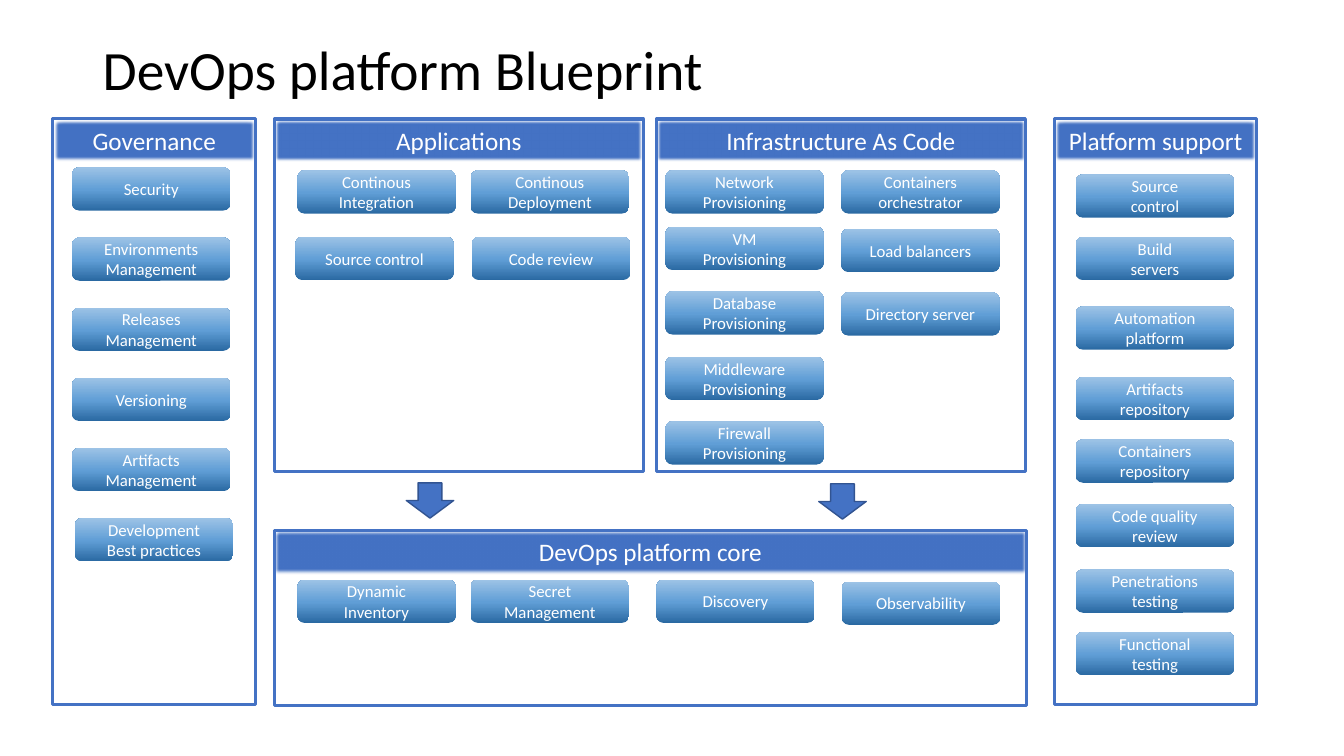
import copy
from dataclasses import dataclass

import lxml.etree
import pptx
import pptx.dml.color
import pptx.enum.shapes
import pptx.enum.text
import pptx.oxml.ns
import pptx.util

SLIDE_WIDTH = pptx.util.Inches(13.33)
SLIDE_HEIGHT = pptx.util.Inches(7.5)
COLUMN = SLIDE_WIDTH / 100
ROW = SLIDE_HEIGHT / 100

FONT = "Calibri"
BLUE, DARK_BLUE, WHITE, BLACK = "4472C4", "325491", "FFFFFF", "000000"
TILE_GRADIENT = ((0, "2A69A2"), (0.48, "609ED6"), (1, "9DC3E6"))
TILE_WIDTH, BAND_HEIGHT = 11.78, 5.73
TOP, CORE_TOP = 15.73, 70.13
GOVERNANCE_TOP, GOVERNANCE_PITCH = 22.13, 9.28

PRESET = pptx.enum.shapes.MSO_SHAPE
ALIGN = pptx.enum.text.PP_ALIGN
FRAME_FORMAT = {"word_wrap": True, "vertical_anchor": pptx.enum.text.MSO_ANCHOR.MIDDLE}


@dataclass
class Box:
    column: float
    row: float
    columns: float
    rows: float

    def emu(self) -> tuple:
        return (round(self.column * COLUMN), round(self.row * ROW),
                round(self.columns * COLUMN), round(self.rows * ROW))


@dataclass
class Panel:
    heading: str
    area: Box


@dataclass
class Tile:
    label: str
    column: float
    row: float


def rgb(value: str) -> pptx.dml.color.RGBColor:
    return pptx.dml.color.RGBColor.from_string(value)


def apply(target, values: dict) -> None:
    for name, value in values.items():
        setattr(target, name, value)


def write(shape, text: str, size: float, color: str = WHITE, **paragraph_format) -> None:
    apply(shape.text_frame, FRAME_FORMAT)
    shape.text_frame.text = text
    for paragraph in shape.text_frame.paragraphs:
        apply(paragraph, {"alignment": ALIGN.CENTER, **paragraph_format})
        for run in paragraph.runs:
            apply(run.font, {"name": FONT, "size": pptx.util.Pt(size)})
            run.font.color.rgb = rgb(color)


def add_block(shapes, preset, box: Box, fill: str = "", line: str = "", weight: float = 1):
    block = shapes.add_shape(preset, *box.emu())
    block.shadow.inherit = False
    if fill:
        block.fill.solid()
        block.fill.fore_color.rgb = rgb(fill)
    else:
        block.fill.background()
    if line:
        block.line.color.rgb = rgb(line)
        block.line.width = pptx.util.Pt(weight)
    else:
        block.line.fill.background()
    return block


def soften(block, radius: float) -> None:
    effects = block._element.spPr.find(pptx.oxml.ns.qn("a:effectLst"))
    edge = lxml.etree.SubElement(effects, pptx.oxml.ns.qn("a:softEdge"))
    edge.set("rad", str(pptx.util.Pt(radius)))


def shade(block) -> None:
    block.fill.gradient()
    block.fill.gradient_angle = 90
    last_stop = block.fill._fill._gradFill.gsLst[-1]
    last_stop.addnext(copy.deepcopy(last_stop))
    for stop, (position, color) in zip(block.fill.gradient_stops, TILE_GRADIENT):
        stop.position = position
        stop.color.rgb = rgb(color)


def draw_panel(shapes, panel: Panel) -> None:
    area = panel.area
    band = Box(area.column, area.row, area.columns, BAND_HEIGHT)
    header = add_block(shapes, PRESET.RECTANGLE, band, BLUE, DARK_BLUE)
    soften(header, 2.5)
    write(header, panel.heading, 18)
    add_block(shapes, PRESET.RECTANGLE, area, line=BLUE, weight=2.25)


def draw_tile(shapes, tile: Tile) -> None:
    box = Box(tile.column, tile.row, TILE_WIDTH, BAND_HEIGHT)
    block = add_block(shapes, PRESET.ROUNDED_RECTANGLE, box)
    shade(block)
    write(block, tile.label, 12)


def stack(column: float, entries: tuple) -> list:
    return [Tile(label, column, row) for row, label in entries]


PANELS = (
    Panel("Governance", Box(3.94, TOP, 15.08, 77.47)),
    Panel("Applications", Box(20.41, TOP, 27.46, 46.67)),
    Panel("Infrastructure As Code", Box(48.84, TOP, 27.46, 46.67)),
    Panel("Platform support", Box(78.44, TOP, 15.08, 77.47)),
    Panel("DevOps platform core", Box(20.41, CORE_TOP, 55.96, 23.2)),
)
PRACTICES = (
    "Security", "Environments Management", "Releases Management",
    "Versioning", "Artifacts Management", "Development\nBest practices",
)
GOVERNANCE = [
    Tile(label, 5.37, GOVERNANCE_TOP + index * GOVERNANCE_PITCH)
    for index, label in enumerate(PRACTICES)
]
GOVERNANCE[-1].column = 5.58
APPLICATIONS = [
    Tile("Continous\nIntegration", 22.13, 22.53),
    Tile("Continous\nDeployment", 35.03, 22.53),
    Tile("Source control", 21.98, 31.33),
    Tile("Code review", 35.11, 31.33),
]
PROVISIONING = stack(49.51, tuple(
    (row, f"{resource}\nProvisioning") for row, resource in (
        (22.53, "Network"), (30, "VM"), (38.53, "Database"),
        (47.2, "Middleware"), (55.73, "Firewall"))
))
RUNTIME = stack(62.6, (
    (22.53, "Containers orchestrator"), (30.27, "Load balancers"),
    (38.67, "Directory server"),
))
SUPPORT = stack(80.05, (
    (23.07, "Source\ncontrol"), (31.33, "Build\nservers"),
    (40.53, "Automation platform"), (49.87, "Artifacts\nrepository"),
    (58.13, "Containers repository"), (66.67, "Code quality review"),
    (75.33, "Penetrations testing"), (83.6, "Functional\ntesting"),
))
CORE = [
    Tile("Dynamic\nInventory", 22.13, 76.67),
    Tile("Secret Management", 35.03, 76.67),
    Tile("Discovery", 48.84, 76.67),
    Tile("Observability", 62.64, 76.93),
]
FLOWS = (Box(30.23, 63.87, 3.53, 4.67), Box(60.92, 64, 3.53, 4.67))

deck = pptx.Presentation()
apply(deck, {"slide_width": SLIDE_WIDTH, "slide_height": SLIDE_HEIGHT})
shapes = deck.slides.add_slide(deck.slide_layouts[6]).shapes

title = shapes.add_textbox(*Box(6.9, 5.33, 86.27, 8.67).emu())
write(title, "DevOps platform Blueprint", 39.6, BLACK, alignment=ALIGN.LEFT, line_spacing=0.9)
for panel in PANELS:
    draw_panel(shapes, panel)
for tile in GOVERNANCE + APPLICATIONS + PROVISIONING + RUNTIME + SUPPORT + CORE:
    draw_tile(shapes, tile)
for flow in FLOWS:
    add_block(shapes, PRESET.DOWN_ARROW, flow, BLUE, DARK_BLUE)

deck.save("out.pptx")
